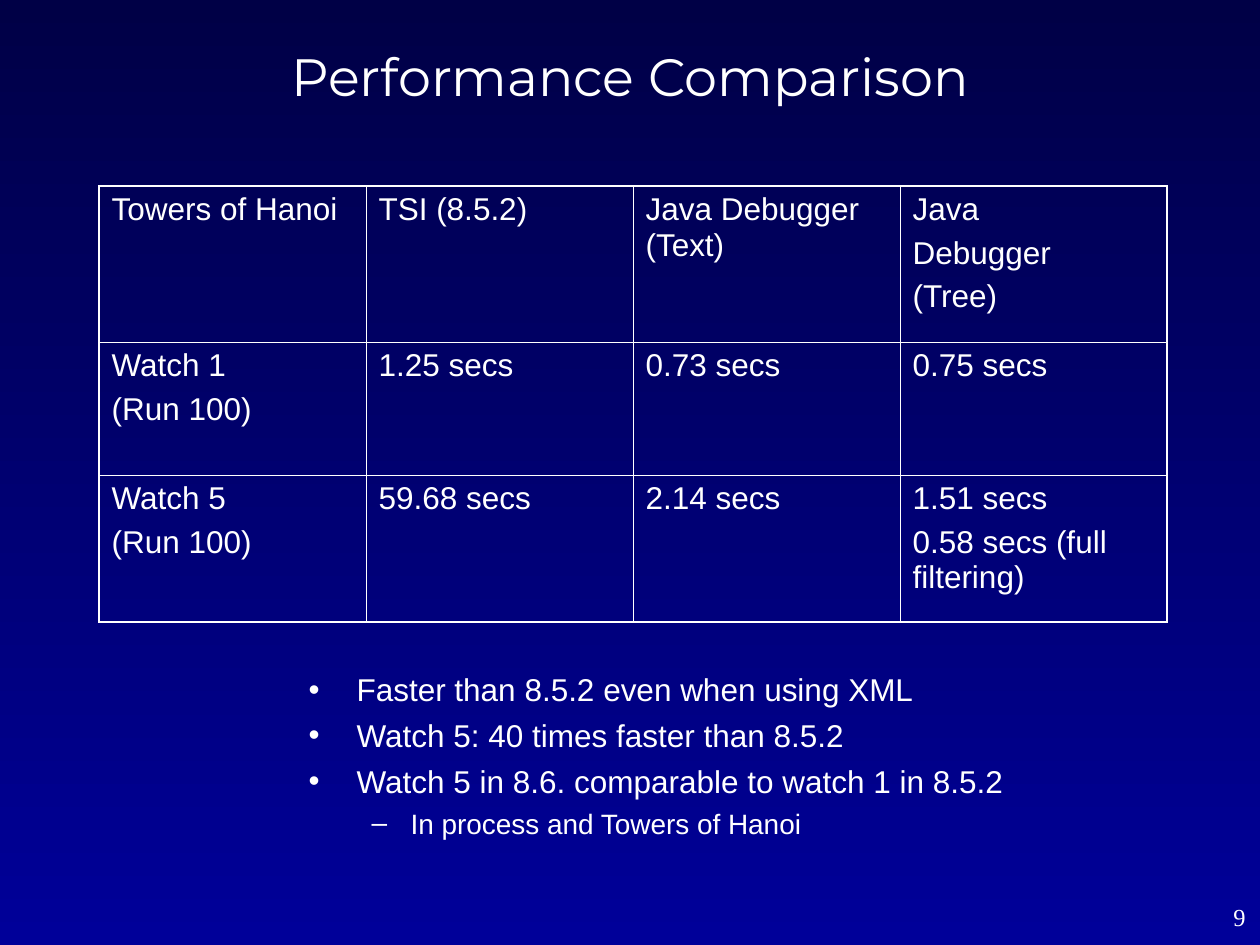
from dataclasses import dataclass

from lxml import etree
from pptx import Presentation
from pptx import util as u
from pptx.dml.color import RGBColor
from pptx.enum import text
from pptx.oxml import ns


@dataclass(frozen=True)
class Theme:
    """Colours, fonts, type sizes and line widths of the deck."""
    ink: str = "FFFFFF"
    sky_top: str = "000046"
    sky_bottom: str = "000099"
    heading_font: str = "Montserrat"
    body_font: str = "Arial"
    number_font: str = "Times New Roman"
    heading_size: float = 30
    body_size: float = 18
    sub_size: float = 16
    number_size: float = 14
    gap: float = 4.5
    sub_gap: float = 4
    outer_line: float = 1.08
    inner_line: float = 0.45


THEME = Theme()
TIMINGS = [
    ["Towers of Hanoi", "TSI (8.5.2)", "Java Debugger (Text)", "Java\nDebugger\n(Tree)"],
    ["Watch 1\n(Run 100)", "1.25 secs", "0.73 secs", "0.75 secs"],
    ["Watch 5\n(Run 100)", "59.68 secs", "2.14 secs", "1.51 secs\n0.58 secs (full filtering)"],
]
ROW_HEIGHTS = [156, 133, 147]
FINDINGS = [
    (0, "Faster than 8.5.2 even when using XML"),
    (0, "Watch 5: 40 times faster than 8.5.2"),
    (0, "Watch 5 in 8.6. comparable to watch 1 in 8.5.2"),
    (1, "In process and Towers of Hanoi"),
]


def px(length):
    """Turn px into EMU at 126 px to the inch."""
    return u.Emu(round(length * 914400 / 126))


def place(shape, box):
    """Move and size a shape to a px box."""
    shape.left, shape.top, shape.width, shape.height = map(px, box)


def style(paragraph, font, size, align=text.PP_ALIGN.LEFT, gap=0):
    """Format a paragraph and its runs."""
    paragraph.alignment = align
    paragraph.space_before = u.Pt(gap)
    for run in paragraph.runs:
        run.font.name = font
        run.font.size = u.Pt(size)
        run.font.color.rgb = RGBColor.from_string(THEME.ink)


def add_ink(parent):
    """Append the ink colour to an XML element."""
    etree.SubElement(parent, ns.qn("a:srgbClr"), val=THEME.ink)


def add_bullet(paragraph, mark, indent, hanging):
    """Give a paragraph a hanging bullet mark."""
    props = paragraph._p.get_or_add_pPr()
    props.set("marL", str(px(indent)))
    props.set("indent", str(-px(hanging)))
    add_ink(etree.SubElement(props, ns.qn("a:buClr")))
    etree.SubElement(props, ns.qn("a:buFont"), typeface=THEME.body_font)
    etree.SubElement(props, ns.qn("a:buChar"), char=mark)


def add_borders(cell, outer_sides):
    """Rule all four sides of a cell, heavier on the outer ones."""
    props = cell._tc.get_or_add_tcPr()
    for position, side in enumerate("LRTB"):
        width = THEME.outer_line if side in outer_sides else THEME.inner_line
        line = etree.Element(ns.qn(f"a:ln{side}"), w=str(u.Pt(width)))
        add_ink(etree.SubElement(line, ns.qn("a:solidFill")))
        props.insert(position, line)


def paint_background(slide):
    """Fill the slide with a gradient running downwards."""
    fill = slide.background.fill
    fill.gradient()
    fill.gradient_angle = 270
    for stop, colour in zip(fill.gradient_stops, (THEME.sky_top, THEME.sky_bottom)):
        stop.color.rgb = RGBColor.from_string(colour)


def write_heading(slide, box, wording):
    """Fill the title placeholder."""
    heading = slide.shapes.title
    place(heading, box)
    frame = heading.text_frame
    frame.text = wording
    frame.vertical_anchor = text.MSO_ANCHOR.TOP
    frame.auto_size = text.MSO_AUTO_SIZE.NONE
    style(frame.paragraphs[0], THEME.heading_font, THEME.heading_size, text.PP_ALIGN.CENTER)


def add_timings(slide, box):
    """Build the ruled table of timings."""
    last_row, last_column = len(TIMINGS) - 1, len(TIMINGS[0]) - 1
    table = slide.shapes.add_table(last_row + 1, last_column + 1, *map(px, box)).table
    table.first_row = table.horz_banding = False
    for column in table.columns:
        column.width = px(box[2] / (last_column + 1))
    for r, (row, height) in enumerate(zip(TIMINGS, ROW_HEIGHTS)):
        table.rows[r].height = px(height)
        for c, wording in enumerate(row):
            cell = table.cell(r, c)
            cell.fill.background()
            cell.text_frame.text = wording
            for paragraph in cell.text_frame.paragraphs:
                style(paragraph, THEME.body_font, THEME.body_size, gap=THEME.gap)
            edges = {"L": c == 0, "R": c == last_column, "T": r == 0, "B": r == last_row}
            add_borders(cell, [side for side, outer in edges.items() if outer])


def write_findings(slide, box):
    """Fill the body placeholder with the bulleted findings."""
    findings = slide.placeholders[1]
    place(findings, box)
    frame = findings.text_frame
    frame.text = "\n".join(wording for _, wording in FINDINGS)
    frame.auto_size = text.MSO_AUTO_SIZE.NONE
    looks = [
        (THEME.body_size, THEME.gap, "•", 48, 48),
        (THEME.sub_size, THEME.sub_gap, "–", 102, 39),
    ]
    for paragraph, (level, _) in zip(frame.paragraphs, FINDINGS):
        size, gap, mark, indent, hanging = looks[level]
        paragraph.level = level
        style(paragraph, THEME.body_font, size, gap=gap)
        add_bullet(paragraph, mark, indent, hanging)


def add_page_number(slide, box, number):
    """Write the page number at the right of its box."""
    frame = slide.shapes.add_textbox(*map(px, box)).text_frame
    frame.word_wrap = True
    frame.vertical_anchor = text.MSO_ANCHOR.MIDDLE
    frame.text = str(number)
    style(frame.paragraphs[0], THEME.number_font, THEME.number_size, text.PP_ALIGN.RIGHT)


def main():
    """Build and save the slide."""
    deck = Presentation()
    deck.slide_width, deck.slide_height = px(1260), px(945)
    slide = deck.slides.add_slide(deck.slide_layouts[1])
    paint_background(slide)
    write_heading(slide, (63, 38, 1134, 157), "Performance Comparison")
    add_timings(slide, (99, 186, 1068, sum(ROW_HEIGHTS)))
    write_findings(slide, (296, 664, 803, 198))
    add_page_number(slide, (1182, 897, 76, 40), 9)
    deck.save("out.pptx")


if __name__ == "__main__":
    main()
